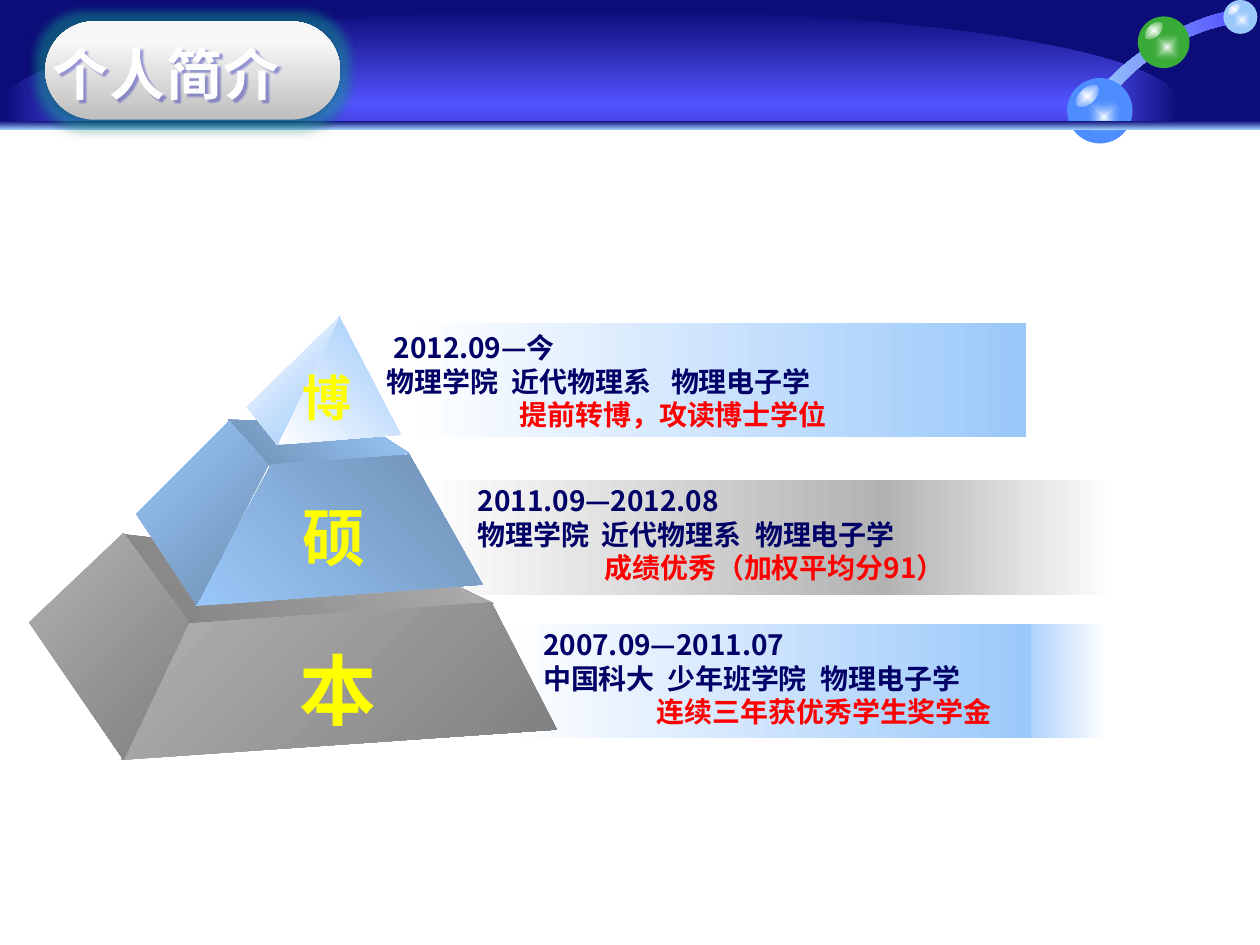
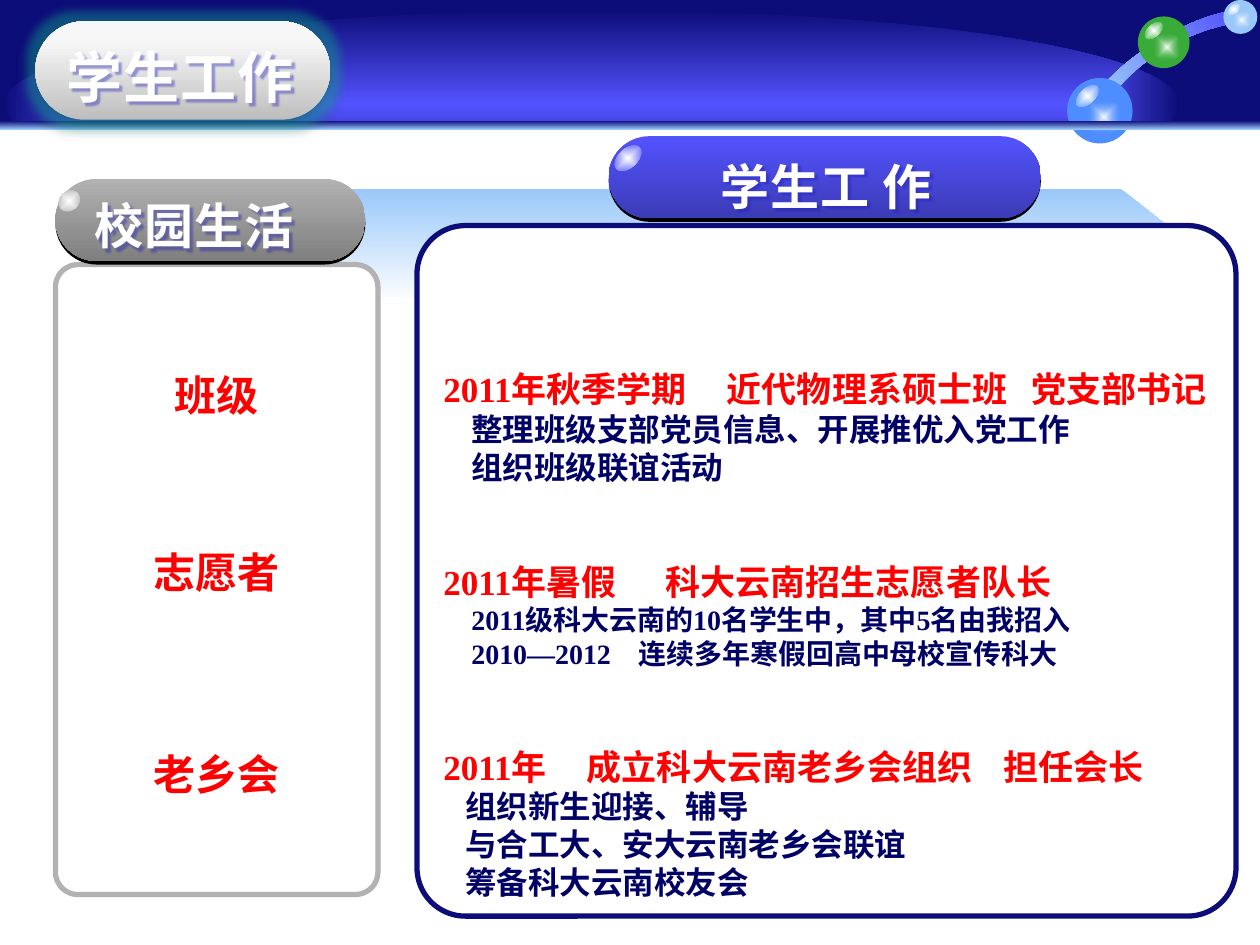
from pptx import Presentation
from pptx.dml.color import RGBColor
from pptx.enum.shapes import MSO_SHAPE
from pptx.enum.text import MSO_ANCHOR, PP_ALIGN
from pptx.oxml import parse_xml
from pptx.oxml.ns import nsdecls, qn
from pptx.util import Pt

NAVY = RGBColor(0x0D, 0x0D, 0x79)
INK = RGBColor(0x00, 0x00, 0x66)
ROYAL = RGBColor(0x53, 0x53, 0xFF)
ROYAL_DARK = RGBColor(0x3B, 0x3B, 0xB6)
EDGE_BLUE = RGBColor(0x1C, 0x1C, 0xB5)
AZURE = RGBColor(0x4D, 0x8D, 0xFF)
SKY = RGBColor(0x9A, 0xC8, 0xFA)
SKY_DARK = RGBColor(0x6E, 0x8F, 0xB3)
GREEN = RGBColor(0x39, 0xAB, 0x39)
TEAL = RGBColor(0x14, 0xB8, 0xA0)
GRAY = RGBColor(0xB2, 0xB2, 0xB2)
GRAY_DARK = RGBColor(0x7F, 0x7F, 0x7F)
SILVER = RGBColor(0xBE, 0xBE, 0xBE)
PEARL = RGBColor(0xF7, 0xF7, 0xF7)
PEARL_LIGHT = RGBColor(0xF8, 0xF8, 0xF8)
OFF_WHITE = RGBColor(0xFE, 0xFE, 0xFE)
WHITE = RGBColor(0xFF, 0xFF, 0xFF)
BLACK = RGBColor(0x00, 0x00, 0x00)
RED = RGBColor(0xFF, 0x00, 0x00)
YELLOW = RGBColor(0xFF, 0xFF, 0x00)

CJK_FONT = "Noto Sans CJK SC"
LATIN_FONT = "Times New Roman"
LINE_PITCH = 1.2
SHINE_ANGLE = 317.2


def draw(slide, outline, box, colors, angle=None, positions=(0, 100), end_alpha=100, rotation=0):
    if isinstance(outline, list):
        points = [(Pt(x), Pt(y)) for x, y in outline]
        builder = slide.shapes.build_freeform(*points[0], scale=1.0)
        builder.add_line_segments(points[1:], close=True)
        shape = builder.convert_to_shape()
    else:
        shape = slide.shapes.add_shape(outline, *map(Pt, box))
    shape.shadow.inherit = False
    shape.line.fill.background()
    shape.rotation = rotation
    if len(colors) == 1:
        shape.fill.solid()
        shape.fill.fore_color.rgb = colors[0]
        return shape
    stops = ""
    for position, color in zip(positions, colors):
        alpha = end_alpha if position == 100 else 100
        stops += (f'<a:gs pos="{position * 1000}"><a:srgbClr val="{color}">'
                  f'<a:alpha val="{alpha * 1000}"/></a:srgbClr></a:gs>')
    if angle is None:
        direction = ('<a:path path="shape"><a:fillToRect l="50000" t="50000" '
                     'r="50000" b="50000"/></a:path>')
    else:
        direction = f'<a:lin ang="{angle * 60000}" scaled="0"/>'
    shape.fill.background()
    properties = shape._element.spPr
    properties.replace(properties.find(qn("a:noFill")), parse_xml(
        f'<a:gradFill {nsdecls("a")} rotWithShape="1"><a:gsLst>{stops}</a:gsLst>'
        f'{direction}</a:gradFill>'))
    return shape


def write(shape, lines, font=CJK_FONT, left=0, top=0, alignment=PP_ALIGN.LEFT, heading=False):
    frame = shape.text_frame
    frame.word_wrap = True
    frame.vertical_anchor = MSO_ANCHOR.TOP
    frame.margin_left, frame.margin_top = Pt(left), Pt(top)
    frame.margin_right = frame.margin_bottom = 0
    for number, (text, size, color, indent, tabs, gap) in enumerate(lines):
        paragraph = frame.add_paragraph() if number else frame.paragraphs[0]
        paragraph.text = text
        paragraph.alignment = alignment
        paragraph.line_spacing = Pt(size * LINE_PITCH)
        paragraph.space_before = Pt(gap)
        properties = paragraph._p.get_or_add_pPr()
        properties.set("marL", str(Pt(indent)))
        if tabs:
            stops = "".join(f'<a:tab pos="{Pt(tab)}" algn="l"/>' for tab in tabs)
            properties.append(parse_xml(f'<a:tabLst {nsdecls("a")}>{stops}</a:tabLst>'))
        for run in paragraph.runs:
            run.font.name = font
            run.font.size = Pt(size)
            run.font.bold = True
            run.font.color.rgb = color
            run_properties = run._r.get_or_add_rPr()
            run_properties.find(qn("a:latin")).addnext(
                parse_xml(f'<a:ea {nsdecls("a")} typeface="{CJK_FONT}"/>'))
            if heading:
                run_properties.set("spc", "50")
                run_properties.insert(0, parse_xml(
                    f'<a:ln {nsdecls("a")} w="12700"><a:solidFill>'
                    f'<a:srgbClr val="{EDGE_BLUE}"/></a:solidFill></a:ln>'))
    if heading:
        shape._element.spPr.append(parse_xml(
            f'<a:effectLst {nsdecls("a")}><a:outerShdw blurRad="12700" dist="25400" '
            f'dir="2700000"><a:srgbClr val="{EDGE_BLUE}"><a:alpha val="40000"/>'
            f'</a:srgbClr></a:outerShdw></a:effectLst>'))


presentation = Presentation()
presentation.slide_width, presentation.slide_height = Pt(720), Pt(540)

arc_curves = [
    [(699.8, 14.4), (689, 16.6), (676.8, 21.6), (665.3, 28.1)],
    [(665.3, 28.1), (653.8, 35.3), (643.7, 43.9), (637.2, 52.6)],
    [(626.4, 53.3), (635, 42.5), (647.3, 31.7), (662.4, 23)],
    [(662.4, 23), (676.8, 13.7), (692.6, 7.9), (705.6, 5.8)],
]
arc_points = []
for curve in arc_curves:
    for step in range(9):
        t = step / 8
        weights = ((1 - t) ** 3, 3 * t * (1 - t) ** 2, 3 * t * t * (1 - t), t ** 3)
        arc_points.append(tuple(
            sum(weight * point[axis] for weight, point in zip(weights, curve))
            for axis in (0, 1)))

pearls = [(650.2, 9.4, 29.5, GREEN), (609.8, 44.6, 37.4, AZURE), (699.1, 0, 19.4, SKY)]

titles = [("个人简介", 25.9, 30.3, 22.4), ("学生工作", 20.2, 38.3, 24.2)]
slides = []
for title, pill_left, title_left, title_top in titles:
    slide = presentation.slides.add_slide(presentation.slide_layouts[6])
    slides.append(slide)
    draw(slide, MSO_SHAPE.RECTANGLE, (0, 0, 720, 72), [NAVY])
    draw(slide, MSO_SHAPE.OVAL, (2.2, 5.8, 671.8, 107.3), [ROYAL, NAVY])
    draw(slide, MSO_SHAPE.RECTANGLE, (0, 71.3, 720, 422), [WHITE])
    draw(slide, arc_points, None, [SKY, ROYAL], 329)
    for left, top, size, color in pearls:
        draw(slide, MSO_SHAPE.OVAL, (left, top, size, size), [color])
        draw(slide, MSO_SHAPE.OVAL,
             (left + 0.28 * size, top + 0.32 * size, 0.56 * size, 0.56 * size),
             [WHITE, color], end_alpha=0)
        draw(slide, MSO_SHAPE.OVAL,
             (left + 0.1 * size, top + 0.16 * size, 0.42 * size, 0.23 * size),
             [WHITE, color], rotation=SHINE_ANGLE)
    draw(slide, MSO_SHAPE.RECTANGLE, (0, 69.1, 720, 5), [NAVY, SKY], 90)
    pill = draw(slide, MSO_SHAPE.ROUNDED_RECTANGLE, (pill_left, 12.2, 168.5, 56.2),
                [SILVER, PEARL, PEARL_LIGHT], 270, (0, 80, 100))
    pill.adjustments[0] = 0.5
    effects = pill._element.spPr.find(qn("a:effectLst"))
    effects.append(parse_xml(
        f'<a:glow {nsdecls("a")} rad="139700"><a:srgbClr val="{TEAL}">'
        f'<a:alpha val="40000"/></a:srgbClr></a:glow>'))
    effects.append(parse_xml(
        f'<a:outerShdw {nsdecls("a")} blurRad="39370" dist="22860" dir="5400000">'
        f'<a:srgbClr val="{BLACK}"><a:alpha val="35000"/></a:srgbClr></a:outerShdw>'))
    title_box = slide.shapes.add_textbox(*map(Pt, (title_left, title_top, 150, 40)))
    write(title_box, [(title, 32, OFF_WHITE, 0, (), 0)], heading=True)

profile, student_work = slides

bands = [
    (503.3, 274.3, 134.6, [GRAY, WHITE]),
    (239.8, 274.3, 267.1, [WHITE, GRAY]),
    (578.2, 356.4, 54, [SKY, WHITE]),
    (290.2, 356.4, 298.8, [WHITE, SKY]),
    (233.3, 184.3, 352.8, [WHITE, SKY]),
]
for left, top, width, colors in bands:
    draw(profile, MSO_SHAPE.RECTANGLE, (left, top, width, 65.5), colors, 0)

pyramid_faces = [
    ([(154, 266.4), (234, 259.2), (208.8, 242.6), (130.3, 239.8)], [SKY_DARK, SKY], 315),
    ([(108, 357.1), (282.2, 344.9), (241.2, 325.4), (70.6, 305.3)], [GRAY_DARK, GRAY], 315),
    ([(69.1, 434.2), (318.2, 416.9), (280.8, 344.2), (107.3, 356.4)], [GRAY, GRAY_DARK], 45),
    ([(111.6, 346.3), (275.8, 334.1), (234, 259.9), (154.8, 265.7)], [SKY, SKY_DARK], 315),
    ([(157.7, 254.2), (229, 248.4), (193.7, 180.7)], [WHITE, SKY], 315),
    ([(70.6, 434.2), (16.6, 355.7), (70.6, 304.6), (108, 355.7)], [GRAY, GRAY_DARK], 45),
    ([(158.4, 254.2), (141.1, 232.6), (193.7, 181.4)], [WHITE, SKY], 45),
    ([(112.3, 345.6), (153.4, 265.7), (131, 240.5), (77.8, 293.8)], [SKY, SKY_DARK], 45),
]
for points, colors, angle in pyramid_faces:
    draw(profile, points, None, colors, angle)

degrees = [("本", 44, 193.1, 390.3), ("硕", 36, 190.9, 304), ("博", 28, 186.9, 225.1)]
for degree, size, center_x, center_y in degrees:
    box = (center_x - 30, center_y - 0.53 * size, 60, size * LINE_PITCH)
    write(profile.shapes.add_textbox(*map(Pt, box)),
          [(degree, size, YELLOW, 0, (), 0)], alignment=PP_ALIGN.CENTER)

studies = [
    (221, 189, "2012.09—今", 4, "物理学院\t近代物理系\t物理电子学", (71.5, 162.5),
     "提前转博，攻读博士学位", 76),
    (273, 276.4, "2011.09—2012.08", 0, "物理学院\t近代物理系\t物理电子学", (71, 158.5),
     "成绩优秀（加权平均分91）", 72.5),
    (310.4, 358.7, "2007.09—2011.07", 0, "中国科大\t少年班学院\t物理电子学", (71, 158.5),
     "连续三年获优秀学生奖学金", 65),
]
for left, top, period, period_indent, school, tabs, result, result_indent in studies:
    write(profile.shapes.add_textbox(*map(Pt, (left, top, 340, 58))), [
        (period, 16, INK, period_indent, (), 0),
        (school, 16, INK, 0, tabs, 0),
        (result, 16, RED, result_indent, (), 0),
    ])

arrow = draw(student_work, MSO_SHAPE.PENTAGON, (46.1, 108, 635.8, 65.5), [SKY, WHITE], 90)
arrow.adjustments[0] = 0.63

campus_lines = [
    ("班级", 24, RED, 0, (), 0),
    ("志愿者", 24, RED, 0, (), 72),
    ("老乡会", 24, RED, 0, (), 86.5),
]
work_lines = [
    ("2011年秋季学期\t近代物理系硕士班\t党支部书记", 20, RED, 0, (162, 336), 0),
    ("整理班级支部党员信息、开展推优入党工作", 18, INK, 16, (), 0),
    ("组织班级联谊活动", 18, INK, 16, (), 0),
    ("2011年暑假\t科大云南招生志愿者队长", 20, RED, 0, (127,), 43),
    ("2011级科大云南的10名学生中，其中5名由我招入", 16, INK, 16, (), 0),
    ("2010—2012　连续多年寒假回高中母校宣传科大", 16, INK, 16, (), 0),
    ("2011年\t成立科大云南老乡会组织\t担任会长", 20, RED, 0, (82, 320), 43),
    ("组织新生迎接、辅导", 18, INK, 12.5, (), 0),
    ("与合工大、安大云南老乡会联谊", 18, INK, 12.5, (), 0),
    ("筹备科大云南校友会", 18, INK, 12.5, (), 0),
]
panels = [
    ((31.7, 151.2, 184.3, 360), GRAY, campus_lines, 0, 56.4, PP_ALIGN.CENTER,
     (31.7, 102.2, 177.1), [GRAY, GRAY_DARK], (33.1, 109.4, 13), "校园生活", 54.3, 112),
    ((238.3, 128.9, 468, 394.6), NAVY, work_lines, 7, 73.2, PP_ALIGN.LEFT,
     (347.8, 77.8, 247), [ROYAL, ROYAL_DARK], (349.9, 85, 18), "学生工 作", 412, 89.2),
]
for (box, border, lines, inset_left, inset_top, alignment, tab_box, tab_colors,
     shine_box, heading, heading_left, heading_top) in panels:
    panel = draw(student_work, MSO_SHAPE.ROUNDED_RECTANGLE, box, [WHITE])
    panel.adjustments[0] = 0.07
    panel.line.color.rgb = border
    panel.line.width = Pt(3)
    write(panel, lines, LATIN_FONT, inset_left, inset_top, alignment)
    left, top, width = tab_box
    for offset, colors in ((2, [BLACK]), (0, tab_colors)):
        tab = draw(student_work, MSO_SHAPE.ROUNDED_RECTANGLE,
                   (left, top + offset, width, 47), colors, 90)
        tab.adjustments[0] = 0.5
    draw(student_work, MSO_SHAPE.OVAL, (*shine_box, 10.8), [WHITE, tab_colors[0]],
         rotation=SHINE_ANGLE)
    heading_box = student_work.shapes.add_textbox(
        *map(Pt, (heading_left, heading_top, 150, 34)))
    write(heading_box, [(heading, 28, OFF_WHITE, 0, (), 0)], heading=True)

presentation.save("out.pptx")
